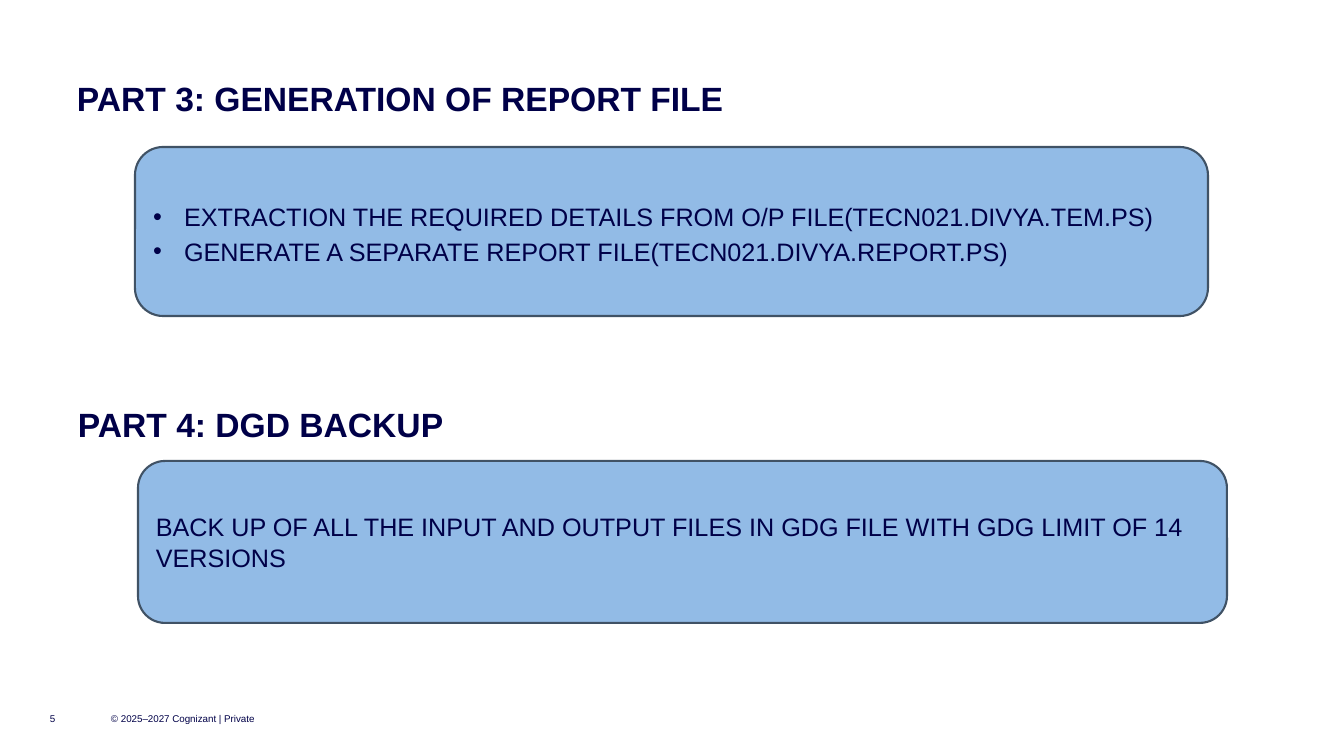
from dataclasses import dataclass

from lxml import etree
from pptx import Presentation
from pptx import util as u
from pptx.dml.color import RGBColor
from pptx.enum import shapes, text
from pptx.oxml.ns import qn


@dataclass(frozen=True)
class Theme:
    font: str = "Arial"
    ink: str = "000048"
    panel: str = "92BBE6"
    edge: str = "405265"
    heading: int = 24
    body: int = 18
    footer: int = 7


THEME = Theme()
SLIDE_SIZE = (1344, 756)
EMU_PER_PX = 914400 / 100.8
BULLET_INDENT = 31

TITLE = ("PART 3: GENERATION OF REPORT FILE", (77, 82, 1243, 36))
BACKUP_HEADING = ("PART 4: DGD BACKUP", (78, 392, 693, 70))
PANELS = [
    {
        "box": (135, 147, 1073, 169),
        "lines": [
            "EXTRACTION THE REQUIRED DETAILS FROM O/P FILE(TECN021.DIVYA.TEM.PS)",
            "GENERATE A SEPARATE REPORT FILE(TECN021.DIVYA.REPORT.PS)",
        ],
        "format": {"bullet": True, "spacing": 1.15},
    },
    {
        "box": (138, 461, 1089, 162),
        "lines": [
            "BACK UP OF ALL THE INPUT AND OUTPUT FILES IN GDG FILE "
            "WITH GDG LIMIT OF 14 VERSIONS",
        ],
        "format": {},
    },
]
FOOTERS = [
    ("© 2025–2027 Cognizant | Private", (111, 706, 151, 25)),
    ("5", (50, 706, 40, 25)),
]


def px(n):
    return u.Emu(round(n * EMU_PER_PX))


def place(box):
    return [px(n) for n in box]


def write(sp, lines, size=THEME.body, bold=False, spacing=1.0, bullet=False,
          anchor=text.MSO_ANCHOR.MIDDLE, wrap=True, insets=None):
    tf = sp.text_frame
    tf.auto_size = text.MSO_AUTO_SIZE.NONE
    tf.word_wrap = wrap
    tf.vertical_anchor = anchor
    if insets:
        tf.margin_left, tf.margin_top, tf.margin_right, tf.margin_bottom = place(insets)
    for i, line in enumerate(lines):
        p = tf.add_paragraph() if i else tf.paragraphs[0]
        p.alignment = text.PP_ALIGN.LEFT
        p.line_spacing = spacing
        if bullet:
            pPr = p._p.get_or_add_pPr()
            pPr.set("marL", str(px(BULLET_INDENT)))
            pPr.set("indent", str(-px(BULLET_INDENT)))
            etree.SubElement(pPr, qn("a:buFont")).set("typeface", THEME.font)
            etree.SubElement(pPr, qn("a:buChar")).set("char", "•")
        r = p.add_run()
        r.text = line
        r.font.name = THEME.font
        r.font.size = u.Pt(size)
        r.font.bold = bold
        r.font.color.rgb = RGBColor.from_string(THEME.ink)


def add_panel(s, box):
    sp = s.shapes.add_shape(shapes.MSO_SHAPE.ROUNDED_RECTANGLE, *place(box))
    sp.shadow.inherit = False
    sp.fill.solid()
    sp.fill.fore_color.rgb = RGBColor.from_string(THEME.panel)
    sp.line.color.rgb = RGBColor.from_string(THEME.edge)
    sp.line.width = u.Pt(1.5)
    return sp


def main():
    prs = Presentation()
    prs.slide_width, prs.slide_height = place(SLIDE_SIZE)
    s = prs.slides.add_slide(prs.slide_layouts.get_by_name("Title Only"))

    caption, box = TITLE
    title = s.shapes.title
    title.left, title.top, title.width, title.height = place(box)
    write(title, [caption], size=THEME.heading, bold=True, spacing=0.9,
          anchor=text.MSO_ANCHOR.TOP, insets=(0, 0, 0, 0))

    for caption, box in FOOTERS:
        write(s.shapes.add_textbox(*place(box)), [caption],
              size=THEME.footer, insets=(0, 0, 0, 0))

    caption, box = BACKUP_HEADING
    write(s.shapes.add_textbox(*place(box)), [caption], size=THEME.heading,
          bold=True, spacing=1.1, anchor=text.MSO_ANCHOR.TOP, wrap=False,
          insets=(0, 8, 0, 0))

    for panel in PANELS:
        write(add_panel(s, panel["box"]), panel["lines"], **panel["format"])

    prs.save("out.pptx")


if __name__ == "__main__":
    main()
